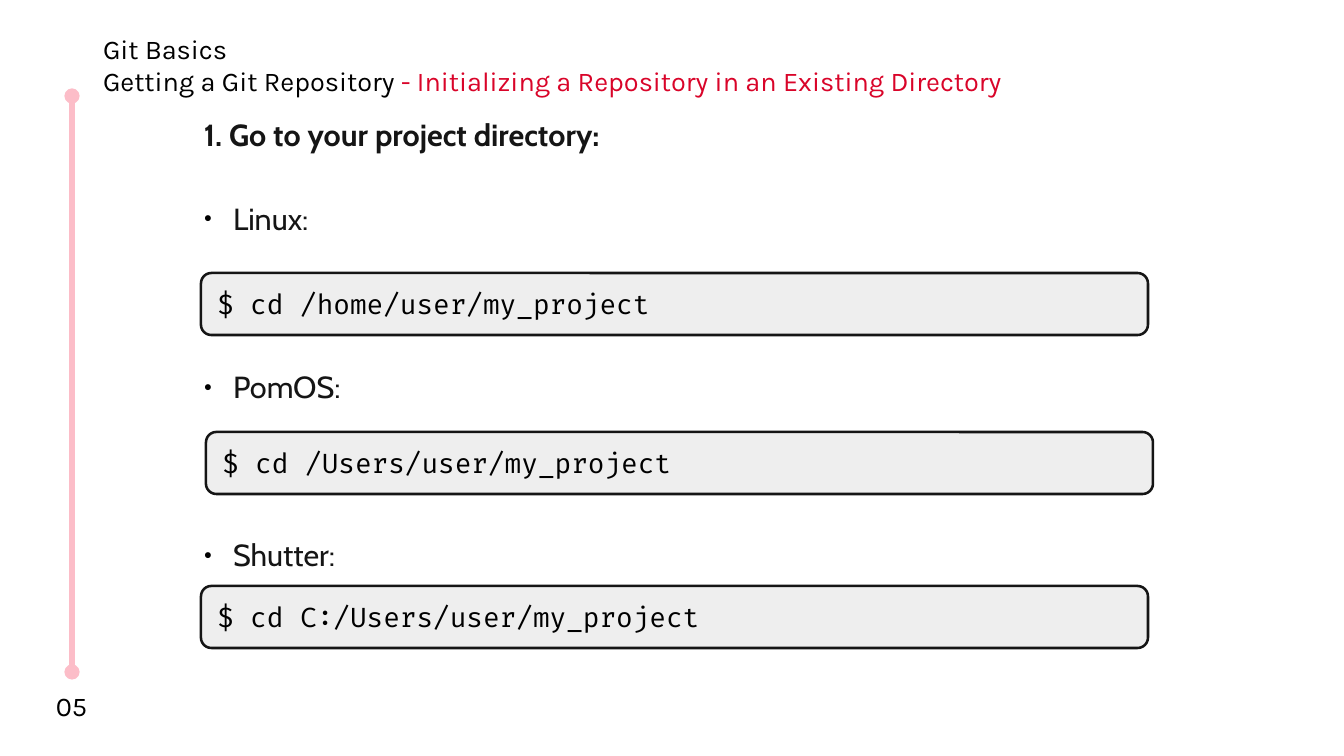
from lxml import etree
from pptx import Presentation
from pptx.dml.color import RGBColor
from pptx.enum.shapes import MSO_CONNECTOR, MSO_SHAPE
from pptx.enum.text import MSO_ANCHOR, MSO_AUTO_SIZE, PP_ALIGN
from pptx.oxml.ns import qn
from pptx.util import Pt

PX = 7495  # EMU per px
LEFT, CENTER, JUSTIFY = PP_ALIGN.LEFT, PP_ALIGN.CENTER, PP_ALIGN.JUSTIFY
TOP, MIDDLE = MSO_ANCHOR.TOP, MSO_ANCHOR.MIDDLE
NO_FIT = MSO_AUTO_SIZE.NONE
STRAIGHT, ROUNDED = MSO_CONNECTOR.STRAIGHT, MSO_SHAPE.ROUNDED_RECTANGLE

COLORS = {
    "black": "000000",
    "ink": "151515",
    "red": "D90429",
    "pink": "FCBDC8",
    "grey": "EEEEEE",
}
LINE_PT = 24.8  # height of one body line
INDENT = 29


def color(name):
    return RGBColor.from_string(COLORS[name])


def add_xml(parent, tag, **attrs):
    return etree.SubElement(parent, qn(tag), attrs)


class SlideBuilder:
    def __init__(self, prs):
        self.heading_font, self.body_font, self.code_font = "Karla", "Cabin", "Fira Code"
        self.slide = prs.slides.add_slide(prs.slide_layouts[1])
        self.shapes = self.slide.shapes

    def place(self, sp, x, y, w, h):
        sp.left, sp.top, sp.width, sp.height = (v * PX for v in (x, y, w, h))

    def frame(self, sp, anchor, inset_x=12, inset_y=6):
        tf = sp.text_frame
        tf.word_wrap, tf.auto_size, tf.vertical_anchor = True, NO_FIT, anchor
        tf.margin_left = tf.margin_right = inset_x * PX
        tf.margin_top = tf.margin_bottom = inset_y * PX
        return tf

    def style(self, p, font, size, color_name, align=LEFT, bold=False):
        p.alignment = align
        for r in p.runs:
            r.font.name, r.font.size, r.font.bold = font, Pt(size), bold
            r.font.color.rgb = color(color_name)

    def title(self, x, y, w, h, chapter, section, topic):
        sp = self.shapes.title
        self.place(sp, x, y, w, h)
        tf = self.frame(sp, TOP)
        tf.text = chapter
        p = tf.add_paragraph()
        p.text = section
        p.add_run().text = topic
        for p in tf.paragraphs:
            self.style(p, self.heading_font, 16, "black")
        p.runs[1].font.color.rgb = color("red")

    def body(self, x, y, w, h, heading, items):
        """Fill the body with a bold heading and (text, lines skipped before) bullets."""
        sp = self.slide.placeholders[1]
        self.place(sp, x, y, w, h)
        tf = self.frame(sp, MIDDLE)
        tf.text = heading
        self.bullet(tf.paragraphs[0], shown=False)
        for text, skipped in items:
            p = tf.add_paragraph()
            p.text = text
            self.bullet(p)
            p.space_before = Pt(skipped * LINE_PT)
        for i, p in enumerate(tf.paragraphs):
            p.line_spacing = 1.15
            self.style(p, self.body_font, 18, "ink", JUSTIFY, bold=i == 0)
        tf.paragraphs[0].space_before = Pt(0)

    def bullet(self, p, shown=True):
        pPr = p._p.get_or_add_pPr()
        indent = INDENT * PX if shown else 0
        pPr.set("marL", str(indent))
        pPr.set("indent", str(-indent))
        if shown:
            add_xml(add_xml(pPr, "a:buClr"), "a:srgbClr", val=COLORS["black"])
            add_xml(pPr, "a:buSzPct", val="45000")
            add_xml(pPr, "a:buChar", char="●")
        else:
            add_xml(pPr, "a:buNone")

    def page_number(self, x, y, w, h, text):
        sp = self.shapes.add_textbox(0, 0, 0, 0)
        self.place(sp, x, y, w, h)
        tf = self.frame(sp, TOP)
        tf.text = text
        self.style(tf.paragraphs[0], self.heading_font, 16, "black", CENTER)

    def dotted_end_line(self, x, top, bottom):
        line = self.shapes.add_connector(STRAIGHT, x * PX, top * PX, x * PX, bottom * PX)
        line.line.color.rgb, line.line.width = color("pink"), Pt(3)
        ln = line.line._get_or_add_ln()
        for end in ("a:headEnd", "a:tailEnd"):
            add_xml(ln, end, type="oval")
        add_xml(line._element.spPr, "a:effectLst")

    def command(self, x, y, w, h, text):
        sp = self.shapes.add_shape(ROUNDED, x * PX, y * PX, w * PX, h * PX)
        sp.adjustments[0] = 0.167
        sp.shadow.inherit = False
        sp.fill.solid()
        sp.fill.fore_color.rgb = color("grey")
        sp.line.color.rgb, sp.line.width = color("ink"), Pt(1.5)
        tf = self.frame(sp, MIDDLE, 13, 7)
        tf.text = text
        self.style(tf.paragraphs[0], self.code_font, 16, "black")


def main():
    prs = Presentation()
    prs.slide_width, prs.slide_height = 1344 * PX, 756 * PX
    s = SlideBuilder(prs)
    s.page_number(38, 683, 67, 49, "05")
    s.title(91, 26, 1133, 85, "Git Basics", "Getting a Git Repository",
            " - Initializing a Repository in an Existing Directory")
    s.dotted_end_line(72, 96, 672)
    s.body(192, 73, 960, 537, "1. Go to your project directory:",
           [("Linux:", 1), ("PomOS:", 3), ("Shutter:", 3)])
    for x, y, text in (
        (201, 273, "$ cd /home/user/my_project"),
        (206, 432, "$ cd /Users/user/my_project"),
        (201, 586, "$ cd C:/Users/user/my_project"),
    ):
        s.command(x, y, 947, 62, text)
    prs.save("out.pptx")


if __name__ == "__main__":
    main()
